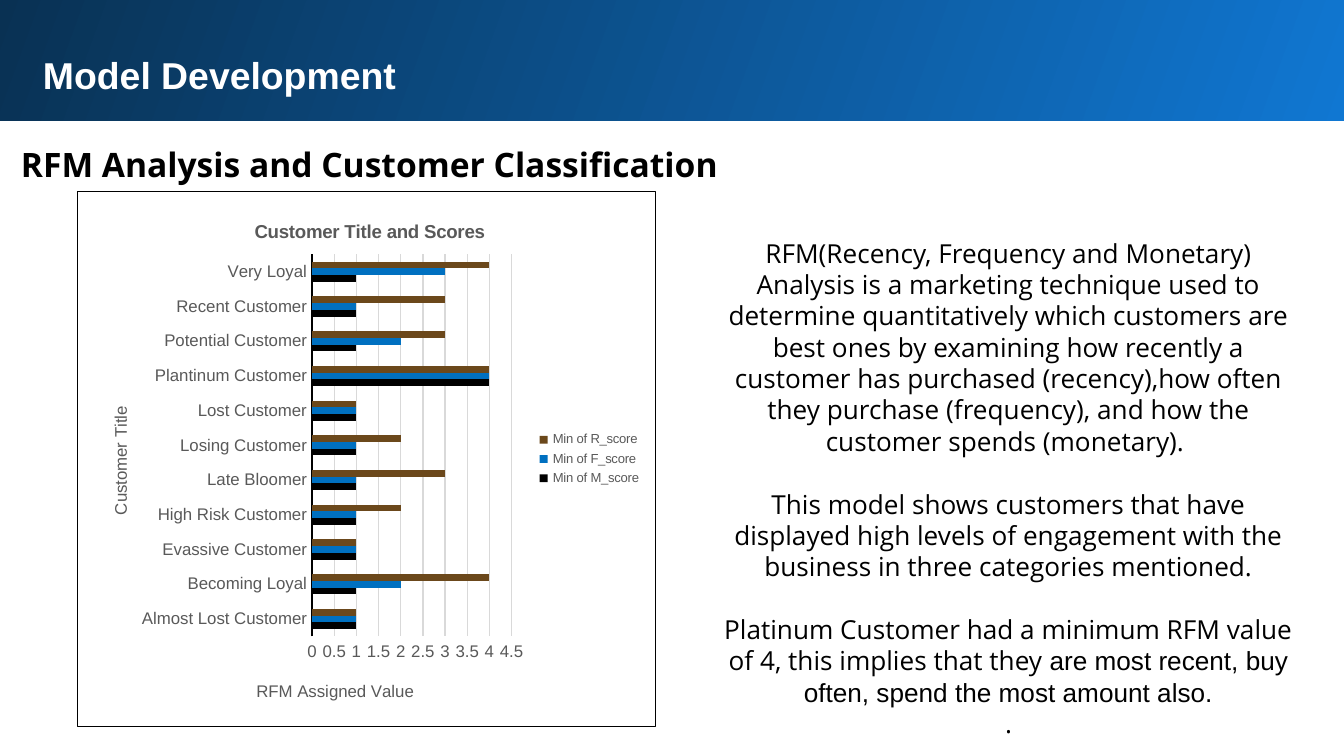
import pptx
import pptx.chart.data
import pptx.dml.color
import pptx.enum.chart
import pptx.enum.shapes
import pptx.enum.text
import pptx.oxml
import pptx.util
from pptx.oxml.ns import nsdecls, qn

Pt = pptx.util.Pt
RGB = pptx.dml.color.RGBColor
SCALE = 914400 / 134.4  # EMU per px

WHITE = RGB(0xFF, 0xFF, 0xFF)
BLACK = RGB(0, 0, 0)
NAVY = RGB(0x09, 0x31, 0x53)
BRIGHT = RGB(0x10, 0x77, 0xD2)
BLUE = RGB(0x00, 0x70, 0xC0)
BROWN = RGB(0x6B, 0x48, 0x1B)
GREY = RGB(0x59, 0x59, 0x59)
GRID = RGB(0xD9, 0xD9, 0xD9)


def px(*values):
    return [round(v * SCALE) for v in values]


def style(font, size, color, name="Arial", bold=False):
    font.size, font.name, font.bold = Pt(size), name, bold
    font.color.rgb = color


prs = pptx.Presentation()
prs.slide_width, prs.slide_height = px(1344, 756)
s = prs.slides.add_slide(prs.slide_layouts[6])

# Header band
band = s.shapes.add_shape(pptx.enum.shapes.MSO_SHAPE.RECTANGLE, *px(-3, -3, 1351, 124))
band.shadow.inherit = False
band.line.fill.background()
band.fill.gradient()
band.fill.gradient_angle = 160
for stop, color in zip(band.fill.gradient_stops, (BRIGHT, NAVY)):
    stop.color.rgb = color

# Headings
for text, box, size, name, color, spacing in (
    ("Model Development", (30, 39, 1259, 69), 20, "Arial", WHITE, 1.0),
    ("RFM Analysis and Customer Classification", (8, 125, 1259, 70), 18, "Open Sans", BLACK, 1.15),
):
    tf = s.shapes.add_textbox(*px(*box)).text_frame
    tf.word_wrap = True
    tf.margin_left = tf.margin_right = tf.margin_top = tf.margin_bottom = px(13)[0]
    p = tf.paragraphs[0]
    p.text = text
    p.line_spacing = spacing
    style(p.runs[0].font, size, color, name, True)

# Chart data: M, F and R score of each customer title
scores = {
    "Almost Lost Customer": (1, 1, 1),
    "Becoming Loyal": (1, 2, 4),
    "Evassive Customer": (1, 1, 1),
    "High Risk Customer": (1, 1, 2),
    "Late Bloomer": (1, 1, 3),
    "Losing Customer": (1, 1, 2),
    "Lost Customer": (1, 1, 1),
    "Plantinum Customer": (4, 4, 4),
    "Potential Customer": (1, 2, 3),
    "Recent Customer": (1, 1, 3),
    "Very Loyal": (1, 3, 4),
}
data = pptx.chart.data.CategoryChartData()
data.categories = list(scores)
for letter, values in zip("MFR", zip(*scores.values())):
    data.add_series(f"Min of {letter}_score", values)

# Chart
LEFT, TOP, WIDTH, HEIGHT = 77, 191, 579, 536
chart = s.shapes.add_chart(
    pptx.enum.chart.XL_CHART_TYPE.BAR_CLUSTERED, *px(LEFT, TOP, WIDTH, HEIGHT), data
).chart
style(chart.font, 10, BLACK)
plot = chart.plots[0]
plot.gap_width, plot.overlap, plot.vary_by_categories = 219, 0, False
for series, color in zip(plot.series, (BLACK, BLUE, BROWN)):
    series.format.fill.solid()
    series.format.fill.fore_color.rgb = color

chart.has_legend = True
chart.legend.position = pptx.enum.chart.XL_LEGEND_POSITION.RIGHT
chart.legend.include_in_layout = False
style(chart.legend.font, 7, GREY)

# Axes
cat, val = chart.category_axis, chart.value_axis
for axis in (cat, val):
    axis.major_tick_mark = axis.minor_tick_mark = pptx.enum.chart.XL_TICK_MARK.NONE
    style(axis.tick_labels.font, 9, GREY)
cat.format.line.color.rgb = BLACK
cat.format.line.width = Pt(0.75)
val.format.line.fill.background()
val.minimum_scale, val.maximum_scale, val.major_unit = 0, 4.5, 0.5
val.major_gridlines.format.line.color.rgb = GRID
val.major_gridlines.format.line.width = Pt(0.75)

# Chart and axis titles
chart.has_title = True
layouts = [(chart._chartSpace.chart.plotArea, 0, 312, 254, 200, 383)]
for title, text, size, x, y in (
    (chart.chart_title, "Customer Title and Scores", 10, 251, 215),
    (cat.axis_title, "Customer Title", 9, 106, 403),
    (val.axis_title, "RFM Assigned Value", 9, 253, 678),
):
    title.text_frame.text = text
    style(title.text_frame.paragraphs[0].runs[0].font, size, GREY, bold=size == 10)
    layouts.append((title._element, 1, x, y, None, None))
cat.axis_title.text_frame._txBody.find(qn("a:bodyPr")).set("rot", "-5400000")

# Fixed places of the plot and the titles
for parent, index, x, y, w, h in layouts:
    for old in parent.findall(qn("c:layout")):
        parent.remove(old)
    parts = '<c:layoutTarget val="inner"/>' if w else ""
    parts += '<c:xMode val="edge"/><c:yMode val="edge"/>'
    fractions = {"x": (x - LEFT) / WIDTH, "y": (y - TOP) / HEIGHT}
    if w:
        fractions.update(w=w / WIDTH, h=h / HEIGHT)
    parts += "".join(f'<c:{k} val="{v:.4f}"/>' for k, v in fractions.items())
    parent.insert(index, pptx.oxml.parse_xml(
        f'<c:layout {nsdecls("c")}><c:manualLayout>{parts}</c:manualLayout></c:layout>'))

# Chart border
chart._chartSpace.find(qn("c:txPr")).addprevious(pptx.oxml.parse_xml(
    f'<c:spPr {nsdecls("c", "a")}><a:noFill/><a:ln w="9525"><a:solidFill>'
    f'<a:srgbClr val="{BLACK}"/></a:solidFill></a:ln></c:spPr>'))

# Explanation
paragraphs = (
    ("RFM(Recency, Frequency and Monetary) Analysis is a marketing technique used to determine "
     "quantitatively which customers are best ones by examining how recently a customer has "
     "purchased (recency),how often they purchase (frequency), and how the customer spends "
     "(monetary). ",),
    ("This model shows customers that have displayed high levels of engagement with the business "
     "in three categories mentioned.",),
    ("Platinum Customer had a minimum RFM value of 4, this implies that they ",
     "are most recent, buy often, spend the most amount also."),
    (".",),
)
tf = s.shapes.add_textbox(*px(703, 199, 611, 616)).text_frame
tf.word_wrap = True
tf.margin_top = px(38)[0]
for i, texts in enumerate(paragraphs):
    p = tf.paragraphs[0] if i == 0 else tf.add_paragraph()
    p.alignment = pptx.enum.text.PP_ALIGN.CENTER
    p.line_spacing = Pt(16.8)
    p.space_before = Pt(16.8 if i in (1, 2) else 0)
    for text, name in zip(texts, ("Open Sans", "Arial")):
        r = p.add_run()
        r.text = text
        style(r.font, 14, BLACK, name)

prs.save("out.pptx")
